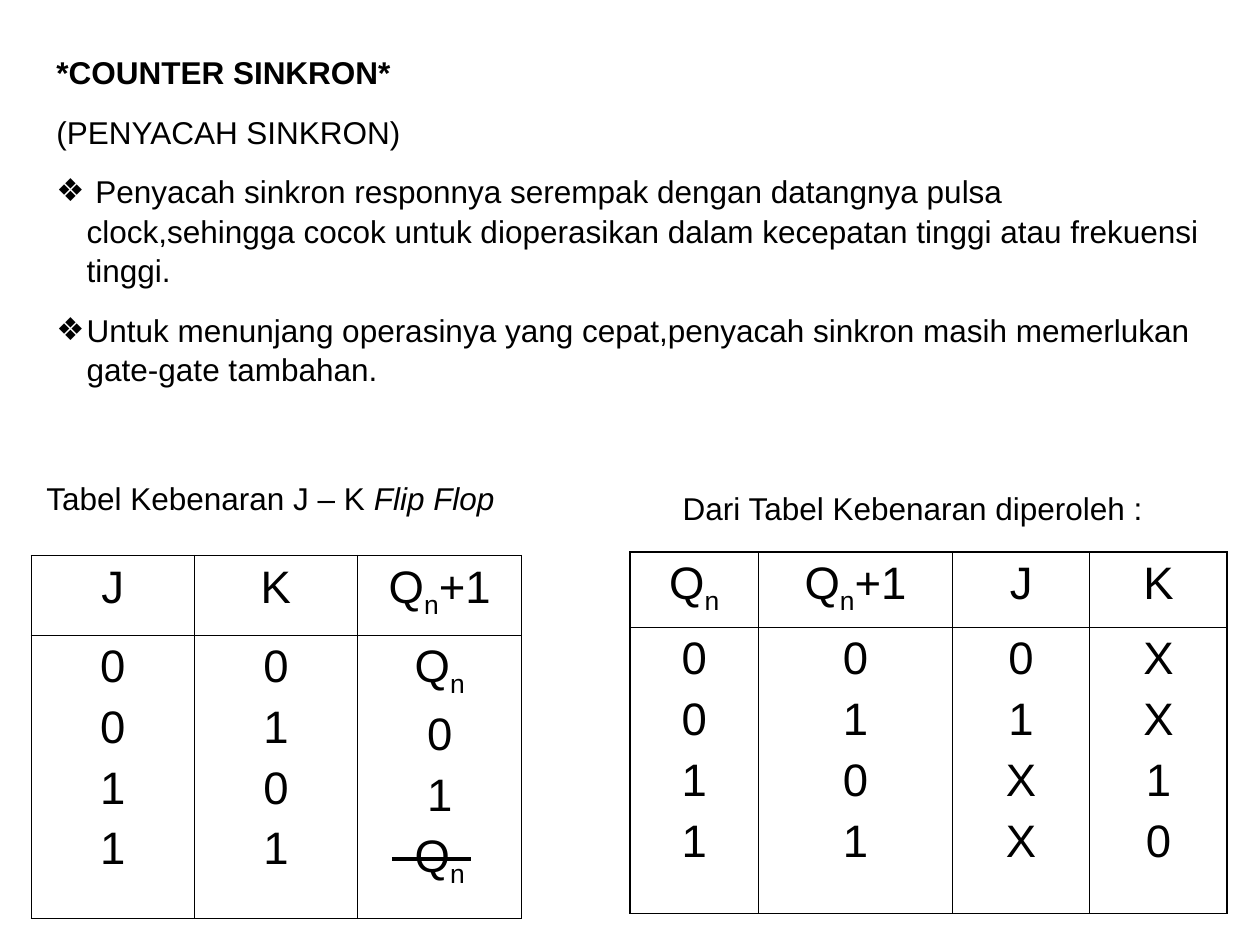
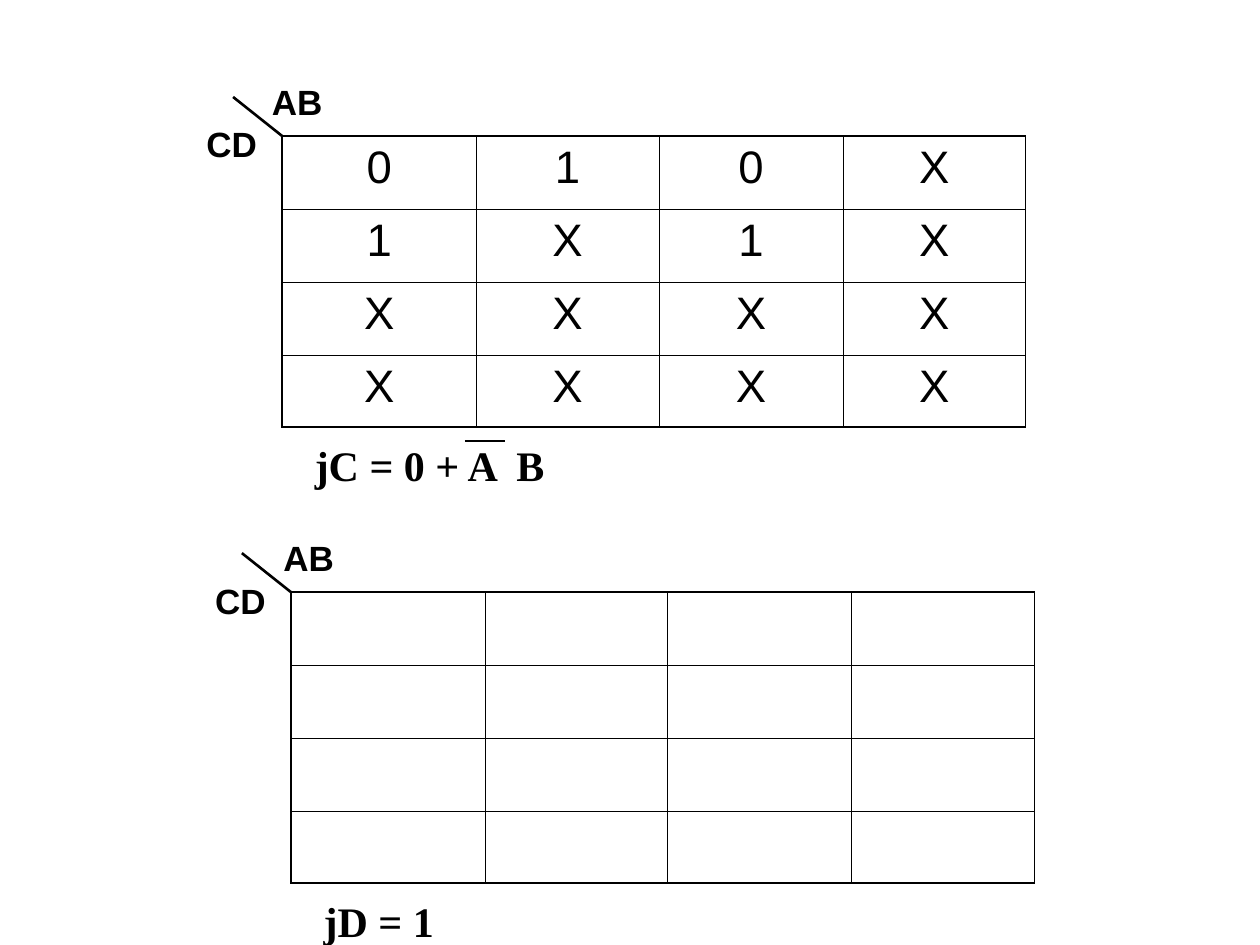
"""Builds two slides on synchronous counters: truth tables and Karnaugh maps."""
import pptx
import pptx.dml.color
import pptx.enum.shapes
import pptx.enum.text
import pptx.oxml.ns
import pptx.util
from lxml import etree

PX = 9144
BLACK = pptx.dml.color.RGBColor(0, 0, 0)
SANS = "Arial"
SERIF = "Times New Roman"
THIN, THICK = 0.45, 1.08
qn = pptx.oxml.ns.qn


def px(size):
    return pptx.util.Emu(size * PX)


class Deck:
    def __init__(self):
        self.prs = pptx.Presentation()
        self.prs.slide_width, self.prs.slide_height = px(1000), px(750)
        self.slide = None

    def page(self):
        self.slide = self.prs.slides.add_slide(self.prs.slide_layouts[6])

    def run(self, para, text, size, font=SANS, bold=False, italic=False, sub=False):
        run = para.add_run()
        run.text = text
        run.font.size = pptx.util.Pt(size)
        run.font.name = font
        run.font.color.rgb = BLACK
        run.font.bold, run.font.italic = bold, italic
        if sub:
            run.font._element.set("baseline", "-25000")

    def bullet(self, para, indent):
        props = para._p.get_or_add_pPr()
        props.set("marL", str(px(indent)))
        props.set("indent", str(-px(indent)))
        etree.SubElement(props, qn("a:buFont"), typeface=SANS)
        etree.SubElement(props, qn("a:buChar"), char="❖")

    def tab(self, para, pos):
        tabs = etree.SubElement(para._p.get_or_add_pPr(), qn("a:tabLst"))
        etree.SubElement(tabs, qn("a:tab"), pos=str(px(pos)), algn="l")

    def text(self, x, y, w, h, paras, size=18, font=SANS, tab=None):
        box = self.slide.shapes.add_textbox(px(x), px(y), px(w), px(h))
        frame = box.text_frame
        frame.word_wrap = True
        for i, (mark, runs) in enumerate(paras):
            para = frame.add_paragraph() if i else frame.paragraphs[0]
            if mark:
                self.bullet(para, 24)
            if tab:
                self.tab(para, tab)
            para.line_spacing = 1.05
            if i:
                para.space_before = pptx.util.Pt(11.2)
            for words, style in runs:
                self.run(para, words, size, font, bold="b" in style, italic="i" in style)

    def line(self, x1, y1, x2, y2, width=1.5):
        kind = pptx.enum.shapes.MSO_CONNECTOR.STRAIGHT
        line = self.slide.shapes.add_connector(kind, px(x1), px(y1), px(x2), px(y2))
        line.line.color.rgb = BLACK
        line.line.width = pptx.util.Pt(width)
        etree.SubElement(line._element.spPr, qn("a:effectLst"))

    def edge(self, cell, side, width):
        props = cell._tc.get_or_add_tcPr()
        edge = etree.SubElement(props, qn("a:ln" + side), w=str(pptx.util.Pt(width)))
        fill = etree.SubElement(edge, qn("a:solidFill"))
        etree.SubElement(fill, qn("a:srgbClr"), val=str(BLACK))

    def fill(self, cell, lines):
        for i, line in enumerate(lines):
            para = cell.text_frame.add_paragraph() if i else cell.text_frame.paragraphs[0]
            para.alignment = pptx.enum.text.PP_ALIGN.CENTER
            if i:
                para.space_before = pptx.util.Pt(5.7)
            base, low, rest = line.partition("n")
            for part, sub in ((base, False), (low, True), (rest, False)):
                if part:
                    self.run(para, part, 26, sub=sub)

    def table(self, x, y, cols, rows, data):
        shape = self.slide.shapes.add_table(
            len(rows), len(cols), px(x), px(y), px(sum(cols)), px(sum(rows)))
        table = shape.table
        table.first_row = table.horz_banding = False
        for col, width in zip(table.columns, cols):
            col.width = px(width)
        for row, height in zip(table.rows, rows):
            row.height = px(height)
        for r in range(len(rows)):
            for c in range(len(cols)):
                cell = table.cell(r, c)
                outer = {"L": c == 0, "R": c == len(cols) - 1,
                         "T": r == 0, "B": r == len(rows) - 1}
                for side, rim in outer.items():
                    self.edge(cell, side, THICK if rim else THIN)
                cell.fill.background()
                self.fill(cell, data[r][c].split() if data else [])

    def map(self, x, y, gap, result, width, data=None, tab=None):
        self.table(x, y, (154, 145, 146, 145), (58, 58, 58, 57), data)
        self.line(x - 39, y - 31, x, y)
        self.text(x - gap, y - 51, 63, 44, [(False, [("AB", "b")])], 20)
        self.text(x - 70, y - 17, 63, 44, [(False, [("CD", "b")])], 20)
        self.text(x + 16, y + 234, width, 50, [(False, [(result, "b")])], 24, SERIF, tab)


def main():
    deck = Deck()
    deck.page()
    deck.text(35, 36, 937, 313, [
        (False, [("*COUNTER SINKRON*", "b")]),
        (False, [("(PENYACAH SINKRON)", "")]),
        (True, [(" Penyacah sinkron responnya serempak dengan datangnya pulsa "
                 "clock,sehingga cocok untuk dioperasikan dalam kecepatan tinggi "
                 "atau frekuensi tinggi.", "")]),
        (True, [("Untuk menunjang operasinya yang cepat,penyacah sinkron masih "
                 "memerlukan gate-gate tambahan.", "")]),
    ])
    deck.table(25, 441, (129, 130, 130), (63, 225), (
        ("J", "K", "Qn+1"),
        ("0 0 1 1", "0 1 0 1", "Qn 0 1 Qn")))
    deck.table(500, 438, (102, 154, 109, 109), (60, 227), (
        ("Qn", "Qn+1", "J", "K"),
        ("0 0 1 1", "0 1 0 1", "0 1 X X", "X X 1 0")))
    deck.line(311, 682, 374, 682, 2.25)
    deck.text(27, 374, 386, 40, [
        (False, [("Tabel Kebenaran J – K ", ""), ("Flip Flop", "i")])])
    deck.text(532, 382, 465, 40, [(False, [("Dari Tabel Kebenaran diperoleh :", "")])])

    deck.page()
    deck.map(224, 108, 18, "jC = 0 + A\tB", 214, ("010X", "1X1X", "XXXX", "XXXX"), tab=160)
    deck.map(231, 470, 16, "jD = 1", 165)
    deck.line(369, 350, 401, 350)
    deck.prs.save("out.pptx")


if __name__ == "__main__":
    main()
